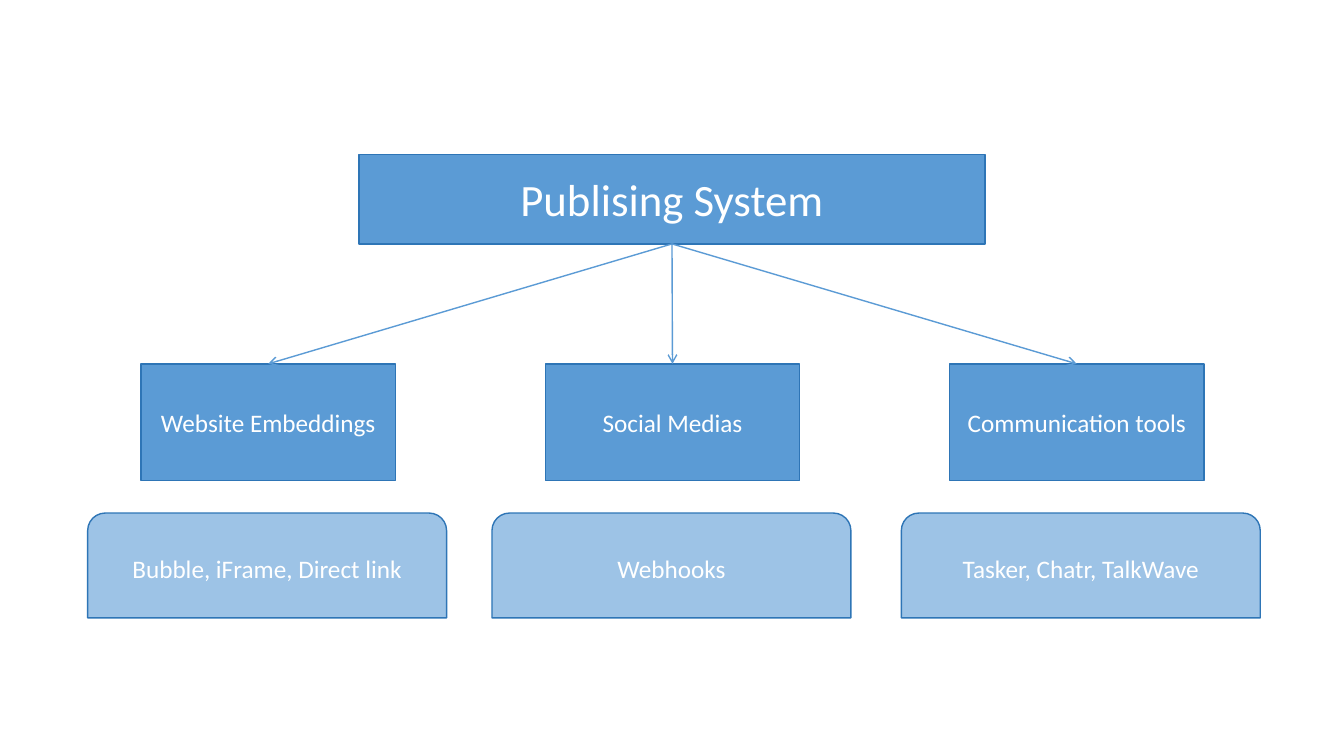
"""Draw a publishing system with its three channels and their tools."""
from dataclasses import dataclass

from lxml import etree
from pptx import Presentation
from pptx.dml.color import RGBColor
from pptx.enum.shapes import MSO_CONNECTOR, MSO_SHAPE
from pptx.enum.text import MSO_ANCHOR, PP_ALIGN
from pptx.oxml.ns import qn
from pptx.shapes.autoshape import Shape
from pptx.shapes.shapetree import SlideShapes
from pptx.util import Inches, Pt

RECT = MSO_SHAPE.RECTANGLE
ROUND = MSO_SHAPE.ROUND_2_SAME_RECTANGLE
STRAIGHT = MSO_CONNECTOR.STRAIGHT
MIDDLE = MSO_ANCHOR.MIDDLE
CENTER = PP_ALIGN.CENTER
BLUE, PALE, EDGE, WHITE = "5B9BD5", "9DC3E6", "2E75B6", "FFFFFF"
TOP, BOTTOM = 0, 2


@dataclass
class Style:
    """Look and size shared by boxes of one level."""
    form: MSO_SHAPE
    top: float
    width: float
    height: float
    fill: str
    size: int


@dataclass
class Branch:
    """A channel and the tools beneath it."""
    name: str
    tools: str
    left: float


ROOT = Style(RECT, 1.53, 6.21, 0.89, BLUE, 32)
CHANNEL = Style(RECT, 3.61, 2.52, 1.16, BLUE, 18)
TOOLS = Style(ROUND, 5.09, 3.56, 1.04, PALE, 18)
FIRST, PITCH = 1.4, 4.01
BRANCHES = [
    Branch("Website Embeddings", "Bubble, iFrame, Direct link", 0.87),
    Branch("Social Medias", "Webhooks", 4.88),
    Branch("Communication tools", "Tasker, Chatr, TalkWave", 8.94),
]


def color(code: str) -> RGBColor:
    """Turn a hex string into a colour."""
    return RGBColor.from_string(code)


def add_box(shapes: SlideShapes, style: Style, left: float, text: str) -> Shape:
    """Draw one labelled box."""
    box = shapes.add_shape(style.form, Inches(left), Inches(style.top),
                           Inches(style.width), Inches(style.height))
    box.shadow.inherit = False
    box.fill.solid()
    box.fill.fore_color.rgb = color(style.fill)
    box.line.color.rgb = color(EDGE)
    box.line.width = Pt(1)
    frame = box.text_frame
    frame.word_wrap = True
    frame.vertical_anchor = MIDDLE
    frame.text = text
    para = frame.paragraphs[0]
    para.alignment = CENTER
    para.font.name = "Calibri"
    para.font.size = Pt(style.size)
    para.font.color.rgb = color(WHITE)
    return box


def add_arrow(shapes: SlideShapes, start: Shape, end: Shape) -> None:
    """Join the bottom of one box to the top of another."""
    arrow = shapes.add_connector(STRAIGHT, 0, 0, 0, 0)
    arrow.begin_connect(start, BOTTOM)
    arrow.end_connect(end, TOP)
    arrow.line.color.rgb = color(BLUE)
    arrow.line.width = Pt(1)
    line = arrow.line._get_or_add_ln()
    etree.SubElement(line, qn("a:tailEnd"), type="arrow")
    etree.SubElement(arrow._element.spPr, qn("a:effectLst"))


def main() -> None:
    """Build and save the slide."""
    deck = Presentation()
    deck.slide_width, deck.slide_height = Inches(13.33), Inches(7.5)
    shapes = deck.slides.add_slide(deck.slide_layouts[6]).shapes
    root = add_box(shapes, ROOT, 3.56, "Publising System")
    for i, branch in enumerate(BRANCHES):
        channel = add_box(shapes, CHANNEL, FIRST + i * PITCH, branch.name)
        add_arrow(shapes, root, channel)
        add_box(shapes, TOOLS, branch.left, branch.tools)
    deck.save("out.pptx")


if __name__ == "__main__":
    main()
